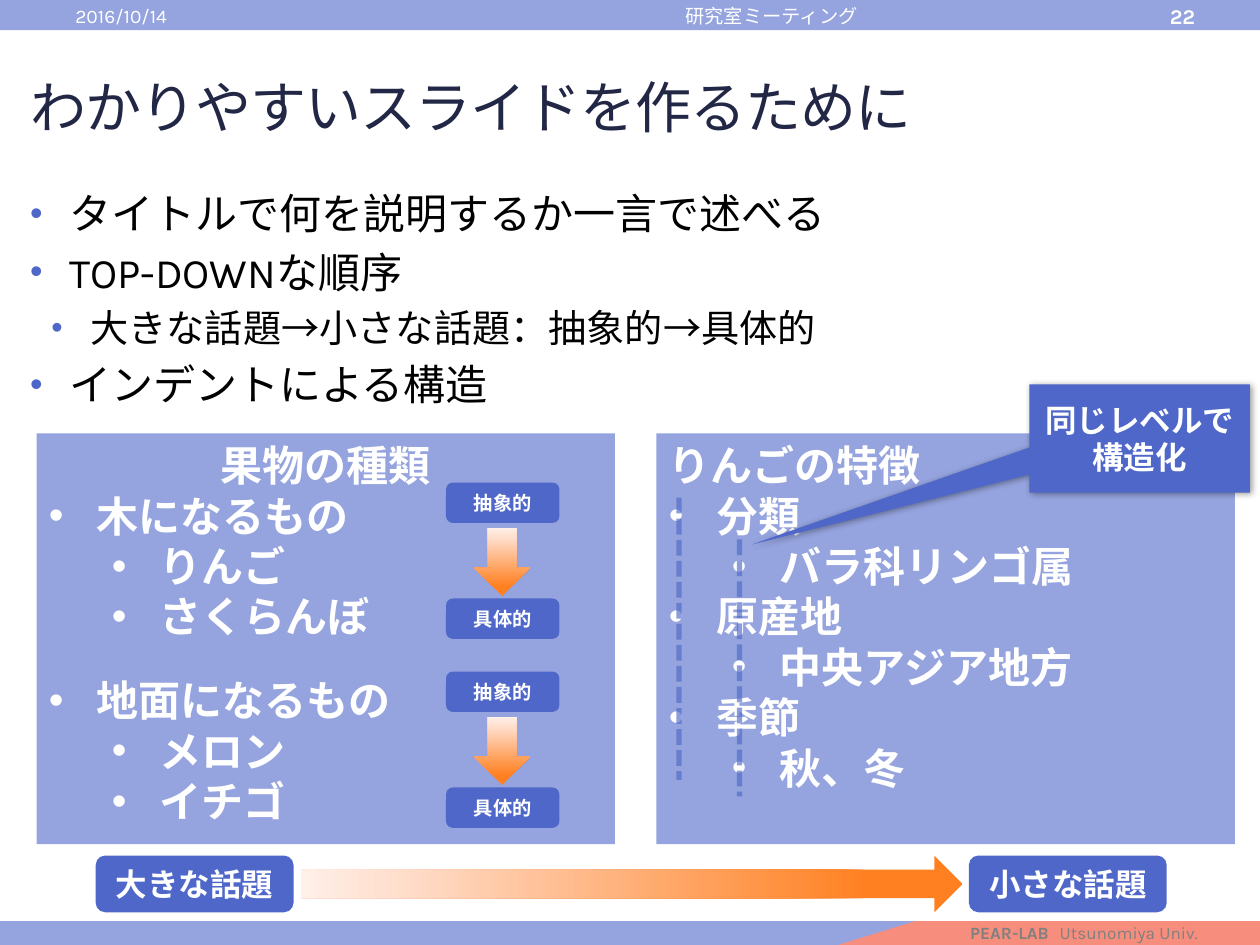
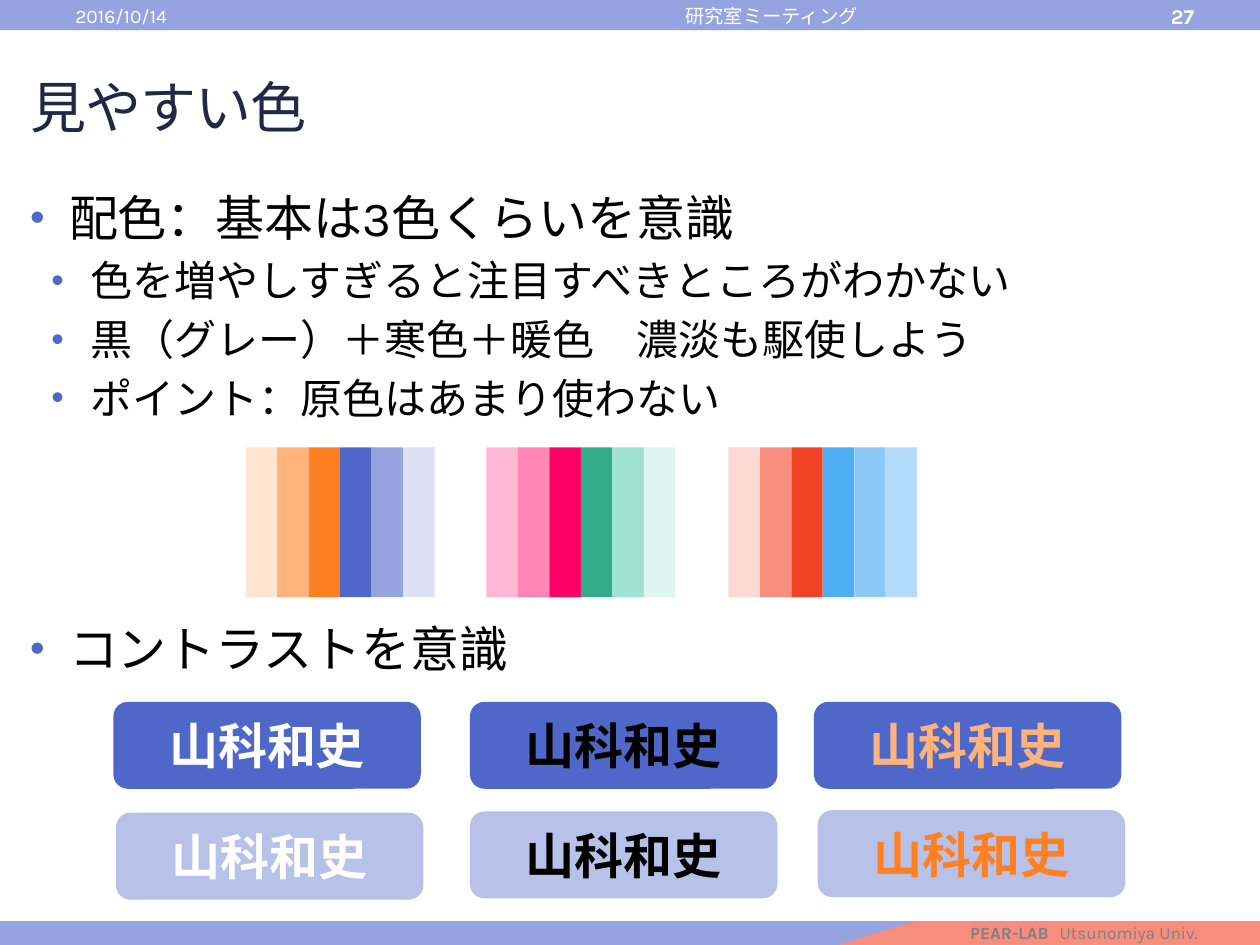
"""Builds two lab-meeting slides about clear structure and readable colours."""
from lxml.etree import SubElement
from pptx import Presentation
from pptx.dml.color import RGBColor
from pptx.enum.dml import MSO_LINE
from pptx.enum.shapes import MSO_CONNECTOR, MSO_SHAPE
from pptx.enum.text import MSO_ANCHOR, MSO_AUTO_SIZE, PP_ALIGN
from pptx.oxml.ns import qn
from pptx.util import Inches, Pt

COLORS = {
    "blue": "4E67C8", "band": "95A4DE", "pale_blue": "B8C2E9", "ice": "DCE1F4",
    "orange": "FF8021", "peach": "FFB37A", "cream": "FFE6D3",
    "fade": "FFE1D2", "fade_end": "FFF0E8",
    "pink": "FF0066", "mid_pink": "FF85B6", "light_pink": "FFB9D5",
    "green": "34AC8B", "mint": "9EE2CF", "pale_mint": "DFF5EF",
    "red": "F14124", "coral": "F78D7C", "blush": "FCD9D3",
    "sky": "4FADF3", "mid_sky": "8CC9F7", "pale_sky": "B4DCFA",
    "navy": "212745", "gray": "808080", "black": "000000", "white": "FFFFFF",
}
PALETTES = [
    (1.95, ["cream", "peach", "orange", "blue", "band", "ice"]),
    (3.86, ["light_pink", "mid_pink", "pink", "green", "mint", "pale_mint"]),
    (5.78, ["blush", "coral", "red", "sky", "mid_sky", "pale_sky"]),
]
SAMPLES = [
    (0.9, 5.57, "blue", "white"),
    (3.73, 5.57, "blue", "black"),
    (6.46, 5.57, "blue", "peach"),
    (0.92, 6.45, "pale_blue", "white"),
    (3.73, 6.44, "pale_blue", "black"),
    (6.49, 6.43, "pale_blue", "orange"),
]
BODY_INDENTS = [0.31, 0.48]
PANEL_INDENTS = [0.38, 0.88]
LINE_PITCH = 1.2


class SlideBuilder:
    """Holds the shared style and the slide being drawn."""

    def __init__(self):
        self.deck = Presentation()
        self.deck.slide_width, self.deck.slide_height = Inches(10), Inches(7.5)
        self.page = None

    def color(self, name):
        return RGBColor.from_string(COLORS[name])

    def set_font(self, para, size, color, bold=False, font="Karla"):
        para.font.size = Pt(size)
        para.font.bold = bold
        para.font.color.rgb = self.color(color)
        para.font.name = font
        properties = para._p.pPr.find(qn("a:defRPr"))
        SubElement(properties, qn("a:ea"), typeface=font)
        return properties

    def add_bullet(self, para, indent, hanging, color=None):
        properties = para._p.get_or_add_pPr()
        properties.set("marL", str(Inches(indent)))
        properties.set("indent", str(-Inches(hanging)))
        if color:
            bullet_color = SubElement(properties, qn("a:buClr"))
            SubElement(bullet_color, qn("a:srgbClr"), val=COLORS[color])
            SubElement(properties, qn("a:buSzPct"), val="85000")
        SubElement(properties, qn("a:buFont"), typeface="Arial")
        SubElement(properties, qn("a:buChar"), char="•")

    def new_page(self, title, number):
        self.page = self.deck.slides.add_slide(self.deck.slide_layouts[5])
        holder = self.page.shapes.title
        holder.left, holder.top = Inches(0.14), Inches(0.46)
        holder.width, holder.height = Inches(9.74), Inches(0.77)
        frame = holder.text_frame
        frame.text = title
        frame.auto_size = MSO_AUTO_SIZE.NONE
        frame.vertical_anchor = MSO_ANCHOR.MIDDLE
        para = frame.paragraphs[0]
        para.alignment = PP_ALIGN.LEFT
        self.set_font(para, 32, "navy").set("spc", "-60")

        self.shape(MSO_SHAPE.RECTANGLE, 0, 0, 10, 0.24, "band")
        self.shape(MSO_SHAPE.RECTANGLE, 0, 7.31, 10, 0.19, "band")
        wedge = self.shape(MSO_SHAPE.PARALLELOGRAM, 6.65, 7.31, 2.78, 0.19, "coral")
        wedge.adjustments[0] = 3.25
        self.shape(MSO_SHAPE.RECTANGLE, 7.6, 7.31, 2.4, 0.19, "coral")
        self.footer()
        self.header(0.5, 2.64, "2016/10/14", PP_ALIGN.LEFT)
        self.header(3.45, 5.35, "研究室ミーティング")
        self.header(8.8, 1.17, number, size=12, bold=True)

    def text_box(self, left, top, width, height, anchor=MSO_ANCHOR.MIDDLE):
        box = self.page.shapes.add_textbox(
            Inches(left), Inches(top), Inches(width), Inches(height))
        box.text_frame.word_wrap = True
        box.text_frame.vertical_anchor = anchor
        return box.text_frame

    def header(self, left, width, text, align=PP_ALIGN.CENTER, size=11, bold=False):
        para = self.text_box(left, 0.01, width, 0.23).paragraphs[0]
        para.text = text
        para.alignment = align
        self.set_font(para, size, "white", bold)

    def footer(self):
        frame = self.text_box(7.64, 7.34, 2.3, 0.12)
        frame.margin_left = frame.margin_right = Inches(0.06)
        frame.margin_top = frame.margin_bottom = Inches(0.03)
        para = frame.paragraphs[0]
        tabs = SubElement(para._p.get_or_add_pPr(), qn("a:tabLst"))
        SubElement(tabs, qn("a:tab"), pos=str(Inches(0.71)), algn="l")
        self.set_font(para, 9.8, "gray")
        for text, bold in (("PEAR-LAB", True), ("\tUtsunomiya Univ.", False)):
            span = para.add_run()
            span.text = text
            span.font.bold = bold

    def shape(self, kind, left, top, width, height, fill):
        box = self.page.shapes.add_shape(
            kind, Inches(left), Inches(top), Inches(width), Inches(height))
        box.shadow.inherit = False
        box.fill.solid()
        box.fill.fore_color.rgb = self.color(fill)
        box.line.fill.background()
        return box

    def label(self, kind, left, top, width, height, text, size,
              fill="blue", color="white", font="Karla"):
        box = self.shape(kind, left, top, width, height, fill)
        box.text_frame.word_wrap = True
        box.text_frame.vertical_anchor = MSO_ANCHOR.MIDDLE
        para = box.text_frame.paragraphs[0]
        para.text = text
        para.alignment = PP_ALIGN.CENTER
        self.set_font(para, size, color, True, font)
        return box

    def body(self, items):
        frame = self.text_box(0.14, 1.44, 9.74, 5.64, MSO_ANCHOR.TOP)
        for index, (text, level, size, gap) in enumerate(items):
            para = frame.add_paragraph() if index else frame.paragraphs[0]
            para.text = text
            para.level = level
            para.line_spacing = Pt(size * LINE_PITCH)
            if index:
                para.space_before = Pt(gap or size * 0.2)
            self.add_bullet(para, BODY_INDENTS[level], 0.31, "blue")
            self.set_font(para, size, "black")

    def panel(self, left, heading, align, items):
        box = self.shape(MSO_SHAPE.RECTANGLE, left, 3.44, 4.59, 3.26, "band")
        frame = box.text_frame
        frame.word_wrap = True
        frame.vertical_anchor = MSO_ANCHOR.TOP
        for index, (text, level, gap) in enumerate([(heading, None, 0)] + items):
            para = frame.add_paragraph() if index else frame.paragraphs[0]
            para.text = text
            para.alignment = PP_ALIGN.LEFT if index else align
            para.line_spacing = Pt(24 * LINE_PITCH)
            if gap:
                para.space_before = Pt(gap)
            if level is not None:
                para.level = level
                self.add_bullet(para, PANEL_INDENTS[level], 0.38)
            self.set_font(para, 24, "white", True)

    def fading_arrow(self, left, top, width, height, rotation=0):
        arrow = self.shape(MSO_SHAPE.DOWN_ARROW, left, top, width, height, "orange")
        arrow.rotation = rotation
        arrow.fill.gradient()
        arrow.fill.gradient_angle = 90
        stops = arrow._element.spPr.find(".//" + qn("a:gsLst"))
        stops.clear()
        for percent, name in ((14, "orange"), (88, "fade"), (100, "fade_end")):
            stop = SubElement(stops, qn("a:gs"), pos=str(percent * 1000))
            SubElement(stop, qn("a:srgbClr"), val=COLORS[name])

    def abstract_to_concrete(self, top):
        self.label(MSO_SHAPE.ROUNDED_RECTANGLE, 3.54, top + 0.92, 0.9, 0.32, "具体的", 11)
        self.fading_arrow(3.76, top + 0.36, 0.45, 0.54)
        self.label(MSO_SHAPE.ROUNDED_RECTANGLE, 3.54, top, 0.9, 0.32, "抽象的", 11)

    def callout(self, text):
        box = self.label(MSO_SHAPE.RECTANGULAR_CALLOUT, 8.17, 3.05, 1.75, 0.86, text, 18)
        box.adjustments[0], box.adjustments[1] = -1.76, 0.98
        effects = box._element.spPr.find(qn("a:effectLst"))
        shadow = SubElement(effects, qn("a:outerShdw"), blurRad=str(Pt(4)),
                            dist=str(Pt(1)), dir="2700000", rotWithShape="0")
        shade = SubElement(shadow, qn("a:srgbClr"), val=COLORS["black"])
        SubElement(shade, qn("a:alpha"), val="40000")

    def level_guide(self, left, top, bottom):
        guide = self.page.shapes.add_connector(
            MSO_CONNECTOR.STRAIGHT, Inches(left), Inches(top), Inches(left), Inches(bottom))
        guide.line.color.rgb = self.color("blue")
        guide.line.width = Pt(3)
        guide.line.dash_style = MSO_LINE.SQUARE_DOT
        properties = guide._element.spPr
        SubElement(properties.find(".//" + qn("a:srgbClr")), qn("a:alpha"), val="63000")
        SubElement(properties, qn("a:effectLst"))


def build_structure_page(builder):
    builder.new_page("わかりやすいスライドを作るために", "22")
    builder.body([
        ("タイトルで何を説明するか一言で述べる", 0, 24, None),
        ("TOP-DOWNな順序", 0, 24, None),
        ("大きな話題→小さな話題：抽象的→具体的", 1, 21.8, None),
        ("インデントによる構造", 0, 24, None),
    ])
    builder.panel(0.29, "果物の種類", PP_ALIGN.CENTER, [
        ("木になるもの", 0, 0), ("りんご", 1, 0), ("さくらんぼ", 1, 0),
        ("地面になるもの", 0, 19.2), ("メロン", 1, 0), ("イチゴ", 1, 0),
    ])
    builder.panel(5.21, "りんごの特徴", PP_ALIGN.LEFT, [
        ("分類", 0, 0), ("バラ科リンゴ属", 1, 0), ("原産地", 0, 0),
        ("中央アジア地方", 1, 0), ("季節", 0, 0), ("秋、冬", 1, 0),
    ])
    for top in (3.83, 5.33):
        builder.abstract_to_concrete(top)
    builder.fading_arrow(4.79, 4.39, 0.45, 5.25, 270)
    for left, topic in ((0.76, "大きな話題"), (7.69, "小さな話題")):
        builder.label(MSO_SHAPE.ROUNDED_RECTANGLE, left, 6.79, 1.57, 0.45, topic, 18)
    builder.callout("同じレベルで構造化")
    builder.level_guide(5.39, 3.95, 6.19)
    builder.level_guide(5.87, 4.28, 6.32)


def build_color_page(builder):
    builder.new_page("見やすい色", "27")
    builder.body([
        ("配色：基本は3色くらいを意識", 0, 28, None),
        ("色を増やしすぎると注目すべきところがわかない", 1, 24, None),
        ("黒（グレー）＋寒色＋暖色　濃淡も駆使しよう", 1, 24, None),
        ("ポイント：原色はあまり使わない", 1, 24, None),
        ("コントラストを意識", 0, 28, 112),
    ])
    for left, names in PALETTES:
        for index, name in enumerate(names):
            builder.shape(MSO_SHAPE.RECTANGLE, left + index * 0.25, 3.55, 0.25, 1.19, name)
    for left, top, fill, color in SAMPLES:
        builder.label(MSO_SHAPE.ROUNDED_RECTANGLE, left, top, 2.44, 0.69,
                      "山科和史", 28, fill, color, "Noto Sans CJK JP")


def main():
    builder = SlideBuilder()
    build_structure_page(builder)
    build_color_page(builder)
    builder.deck.save("out.pptx")


if __name__ == "__main__":
    main()
